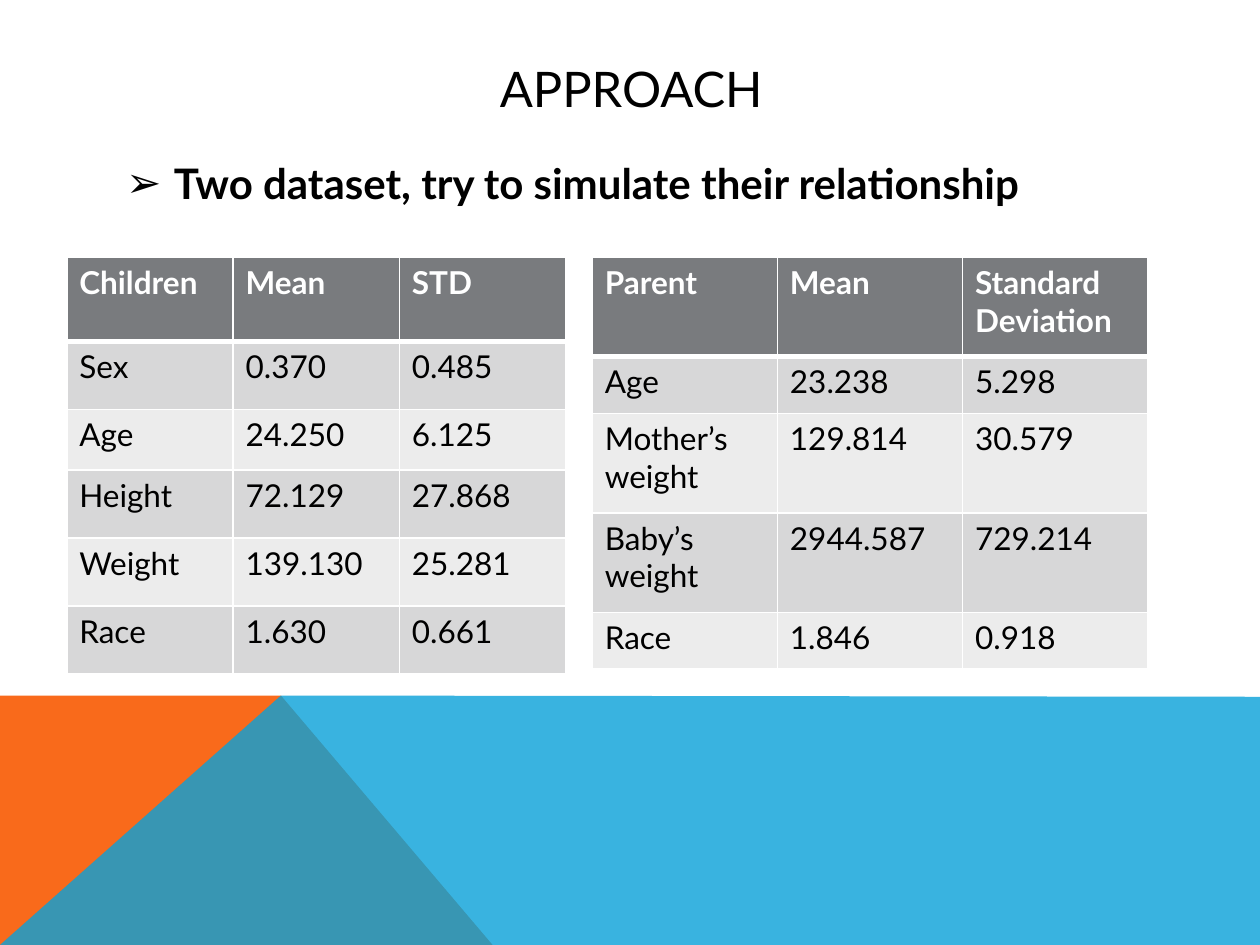
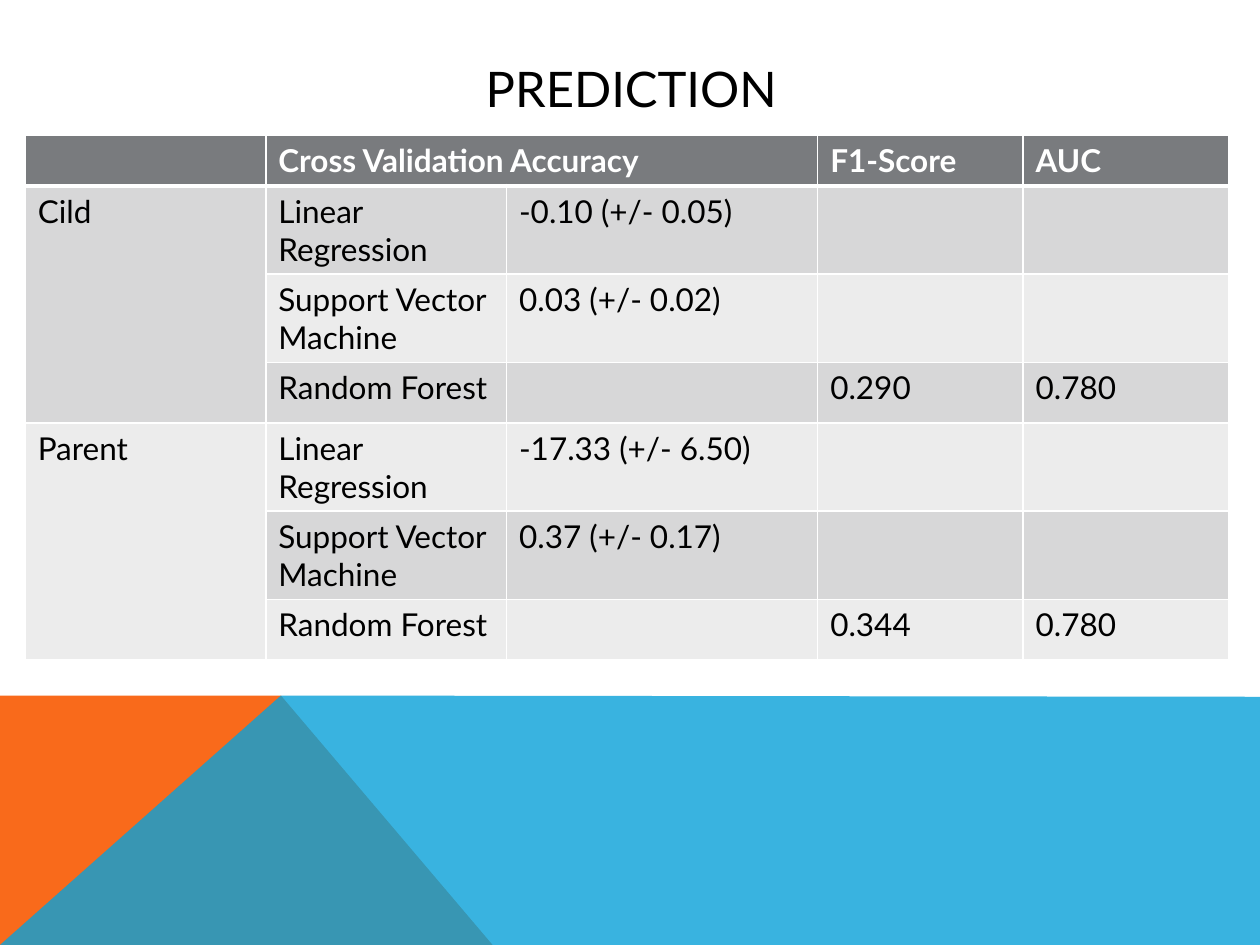
from dataclasses import dataclass

from lxml.etree import SubElement
from pptx import Presentation
from pptx.dml.color import RGBColor
from pptx.enum.text import MSO_ANCHOR, MSO_AUTO_SIZE, PP_ALIGN
from pptx.oxml import parse_xml
from pptx.oxml.ns import nsdecls, qn
from pptx.slide import Slide
from pptx.util import Inches, Pt

COLOURS = {
    "black": "000000",
    "white": "FFFFFF",
    "orange": "F96A1B",
    "blue": "08A1D9",
    "header": "797B7E",
    "odd row": "D7D7D8",
    "even row": "ECECEC",
}
FONT = "Lato"
TITLE_FORMAT = {"name": FONT, "size": Pt(28), "bold": False}
LEAD_FORMAT = {"name": FONT, "size": Pt(24), "bold": True}
HEADER_FORMAT = {"name": FONT, "size": Pt(18), "bold": True}
CELL_FORMAT = {"name": FONT, "size": Pt(18), "bold": False}
FRAME_FORMAT = {"word_wrap": True, "auto_size": MSO_AUTO_SIZE.NONE}

TEXT_LEFT, TEXT_WIDTH = 0.9, 8.22
BAND_TOP, BAND_BOTTOM = 5.52, 7.5
PEAK = (2.23, BAND_TOP)


@dataclass(frozen=True)
class Band:
    colour: str
    points: tuple[tuple[float, float], ...]
    opacity: int = 100


@dataclass(frozen=True)
class DataTable:
    left: float
    top: float
    widths: tuple[float, ...]
    heights: tuple[float, ...]
    rows: tuple[tuple[str, ...], ...]
    merges: tuple[tuple[int, int, int, int], ...] = ()


BANDS = (
    Band("orange", ((0, BAND_BOTTOM), (0, BAND_TOP), PEAK, (3.91, BAND_BOTTOM))),
    Band("blue", ((0, BAND_BOTTOM), PEAK, (10, 5.53), (10, BAND_BOTTOM)), opacity=80),
)

CHILDREN = DataTable(
    left=0.53, top=2.04,
    widths=(1.32,) * 3,
    heights=(0.67, 0.54, 0.48, 0.54, 0.54, 0.54),
    rows=(
        ("Children", "Mean", "STD"),
        ("Sex", "0.370", "0.485"),
        ("Age", "24.250", "6.125"),
        ("Height", "72.129", "27.868"),
        ("Weight", "139.130", "25.281"),
        ("Race", "1.630", "0.661"),
    ),
)
PARENTS = DataTable(
    left=4.7, top=2.04,
    widths=(1.47,) * 3,
    heights=(0.79, 0.45, 0.79, 0.79, 0.45),
    rows=(
        ("Parent", "Mean", "Standard Deviation"),
        ("Age", "23.238", "5.298"),
        ("Mother’s weight", "129.814", "30.579"),
        ("Baby’s weight", "2944.587", "729.214"),
        ("Race", "1.846", "0.918"),
    ),
)
SCORES = DataTable(
    left=0.2, top=1.07,
    widths=(1.91, 1.91, 2.47, 1.63, 1.63),
    heights=(0.28, 0.48, 0.69, 0.48, 0.48, 0.69, 0.48),
    rows=(
        ("", "Cross Validation Accuracy", "", "F1-Score", "AUC"),
        ("Cild", "Linear Regression", "-0.10 (+/- 0.05)", "", ""),
        ("", "Support Vector Machine", "0.03 (+/- 0.02)", "", ""),
        ("", "Random Forest", "", "0.290", "0.780"),
        ("Parent", "Linear Regression", "-17.33 (+/- 6.50)", "", ""),
        ("", "Support Vector Machine", "0.37 (+/- 0.17)", "", ""),
        ("", "Random Forest", "", "0.344", "0.780"),
    ),
    merges=((0, 1, 0, 2), (1, 0, 3, 0), (4, 0, 6, 0)),
)


def rgb(colour: str) -> RGBColor:
    return RGBColor.from_string(COLOURS[colour])


def apply_format(target, values: dict) -> None:
    for attribute, value in values.items():
        setattr(target, attribute, value)


def write(paragraph, text: str, font_format: dict, colour: str) -> None:
    run = paragraph.add_run()
    run.text = text
    apply_format(run.font, font_format)
    run.font.color.rgb = rgb(colour)


def place(placeholder, top: float, height: float) -> None:
    """Move a placeholder into the shared text column."""
    apply_format(placeholder, {
        "left": Inches(TEXT_LEFT), "top": Inches(top),
        "width": Inches(TEXT_WIDTH), "height": Inches(height),
    })
    apply_format(placeholder.text_frame, FRAME_FORMAT)


def draw_band(slide: Slide, band: Band) -> None:
    start, *others = [(Inches(x), Inches(y)) for x, y in band.points]
    builder = slide.shapes.build_freeform(*start)
    builder.add_line_segments(others, close=True)
    shape = builder.convert_to_shape()
    shape.shadow.inherit = False
    shape.line.fill.background()
    shape.fill.solid()
    shape.fill.fore_color.rgb = rgb(band.colour)
    if band.opacity < 100:
        tint = shape._element.spPr.find(f".//{qn('a:srgbClr')}")
        SubElement(tint, qn("a:alpha"), val=str(band.opacity * 1000))


def add_themed_slide(deck, layout_index: int, title: str) -> Slide:
    slide = deck.slides.add_slide(deck.slide_layouts[layout_index])
    for band in BANDS:
        draw_band(slide, band)
    heading = slide.shapes.title
    place(heading, top=0.4, height=0.6)
    heading.text_frame.vertical_anchor = MSO_ANCHOR.MIDDLE
    paragraph = heading.text_frame.paragraphs[0]
    paragraph.alignment = PP_ALIGN.CENTER
    write(paragraph, title, TITLE_FORMAT, "black")
    return slide


def add_lead(slide: Slide, text: str) -> None:
    """Fill the body placeholder with one arrow-bulleted line."""
    body = slide.placeholders[1]
    place(body, top=1.2, height=3.91)
    paragraph = body.text_frame.paragraphs[0]
    paragraph.space_before = Pt(8)
    properties = paragraph._p.get_or_add_pPr()
    properties.set("marL", str(Inches(0.38)))
    properties.set("indent", str(Inches(-0.38)))
    SubElement(properties, qn("a:buChar"), char="➢")
    write(paragraph, text, LEAD_FORMAT, "black")


def set_borders(cell, bottom_width: int) -> None:
    widths = {"lnL": 1, "lnR": 1, "lnT": 1, "lnB": bottom_width}
    properties = cell._tc.get_or_add_tcPr()
    for position, (side, width) in enumerate(widths.items()):
        properties.insert(position, parse_xml(
            f'<a:{side} {nsdecls("a")} w="{Pt(width)}"><a:solidFill>'
            f'<a:srgbClr val="{COLOURS["white"]}"/></a:solidFill></a:{side}>'))


def add_data_table(slide: Slide, data: DataTable) -> None:
    table = slide.shapes.add_table(
        len(data.rows), len(data.widths), Inches(data.left), Inches(data.top),
        Inches(sum(data.widths)), Inches(sum(data.heights))).table
    for column, width in zip(table.columns, data.widths):
        column.width = Inches(width)
    for row, height in zip(table.rows, data.heights):
        row.height = Inches(height)
    for top, left, bottom, right in data.merges:
        table.cell(top, left).merge(table.cell(bottom, right))
    for row_index, texts in enumerate(data.rows):
        is_header = row_index == 0
        fill = "header" if is_header else "odd row" if row_index % 2 else "even row"
        for column_index, text in enumerate(texts):
            cell = table.cell(row_index, column_index)
            cell.fill.solid()
            cell.fill.fore_color.rgb = rgb(fill)
            # The rule under the header is shared with the first data row.
            set_borders(cell, bottom_width=3 if is_header else 1)
            if row_index == 1:
                cell._tc.tcPr.find(qn("a:lnT")).set("w", str(Pt(3)))
            if text:
                write(cell.text_frame.paragraphs[0], text,
                      HEADER_FORMAT if is_header else CELL_FORMAT,
                      "white" if is_header else "black")


def main() -> None:
    deck = Presentation()
    deck.slide_width, deck.slide_height = Inches(10), Inches(7.5)

    approach = add_themed_slide(deck, 1, "APPROACH")
    add_lead(approach, "Two dataset, try to simulate their relationship")
    add_data_table(approach, CHILDREN)
    add_data_table(approach, PARENTS)

    prediction = add_themed_slide(deck, 5, "PREDICTION")
    add_data_table(prediction, SCORES)

    deck.save("out.pptx")


if __name__ == "__main__":
    main()
